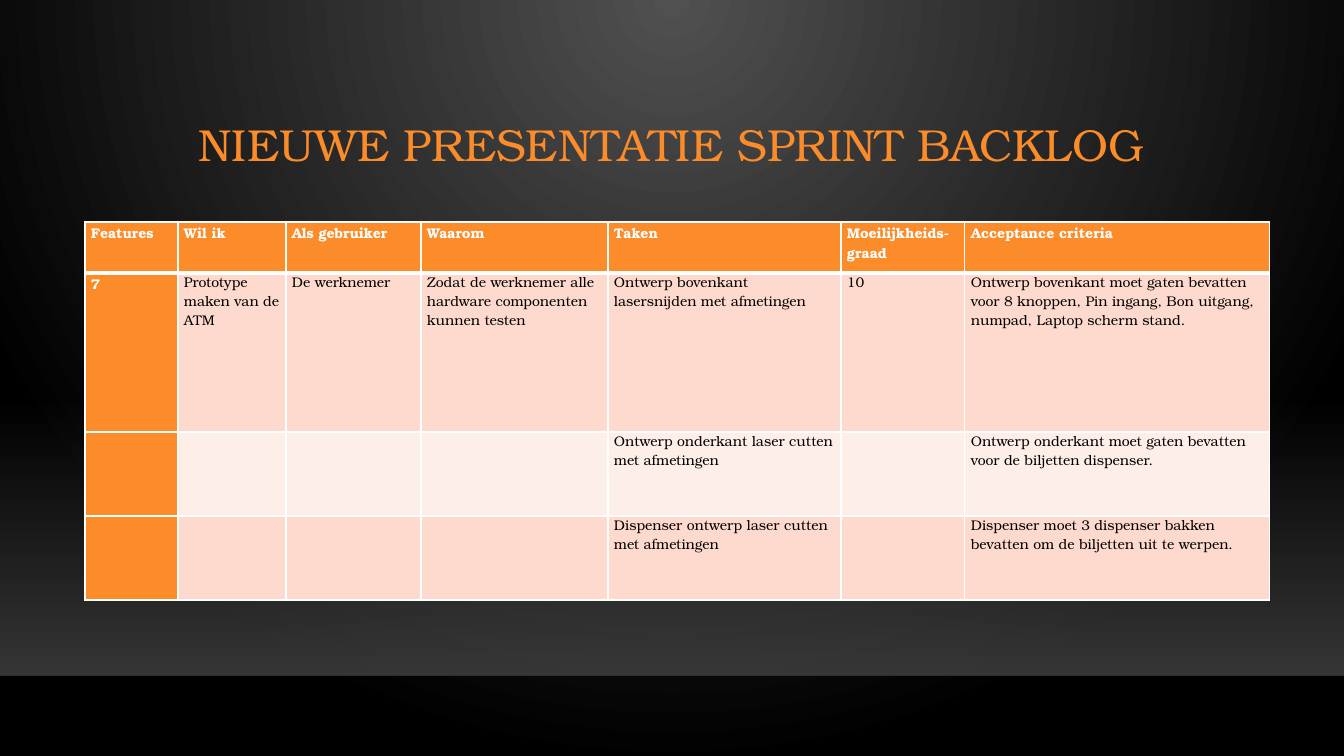
from lxml import etree
from pptx import Presentation, util as u
from pptx.dml.color import RGBColor
from pptx.enum import shapes, text
from pptx.oxml import ns

PX = 914400 / 100.8
FONT = "TeX Gyre Bonum"
COLOURS = {
    "orange": "FB8C29",
    "white": "FFFFFF",
    "black": "000000",
    "edge": "000001",
    "rose": "FDDACD",
    "blush": "FEEEE8",
    "glow": "505050",
    "floor": "454545",
}
COLUMNS = [93, 108, 135, 187, 233, 124, 305]
ROWS = [51, 159, 84, 84]
BACKLOG = [
    ["Features", "Wil ik", "Als gebruiker", "Waarom", "Taken",
     "Moeilijkheids-graad", "Acceptance criteria"],
    ["7", "Prototype maken van de ATM", "De werknemer",
     "Zodat de werknemer alle hardware componenten kunnen testen",
     "Ontwerp bovenkant lasersnijden met afmetingen", "10",
     "Ontwerp bovenkant moet gaten bevatten voor 8 knoppen, Pin ingang, "
     "Bon uitgang, numpad, Laptop scherm stand."],
    ["", "", "", "", "Ontwerp onderkant laser cutten met afmetingen", "",
     "Ontwerp onderkant moet gaten bevatten voor de biljetten dispenser."],
    ["", "", "", "", "Dispenser ontwerp laser cutten met afmetingen", "",
     "Dispenser moet 3 dispenser bakken bevatten om de biljetten uit te werpen."],
]


def px(length):
    """Turn a length in px into EMU."""
    return u.Emu(round(length * PX))


def colour(name):
    """Look up a named colour."""
    return RGBColor.from_string(COLOURS[name])


def add_node(parent, tag, **attributes):
    """Append a DrawingML element to a parent."""
    node = etree.SubElement(parent, ns.qn(tag))
    for key, value in attributes.items():
        node.set(key, str(value))
    return node


def set_alpha(parent, percent):
    """Make the first colour inside an element partly opaque."""
    rgb = next(parent.iter(ns.qn("a:srgbClr")))
    add_node(rgb, "a:alpha", val=percent * 1000)


def paint_gradient(fill, names):
    """Fill with a gradient between two named colours."""
    fill.gradient()
    for stop, name in zip(fill.gradient_stops, names):
        stop.color.rgb = colour(name)


def add_span(para, words, size, name, bold=False):
    """Add one formatted run to a paragraph."""
    span = para.add_run()
    span.text = words
    span.font.name = FONT
    span.font.size = u.Pt(size)
    span.font.bold = bold
    span.font.color.rgb = colour(name)


def build_background(page):
    """Paint a glow that spreads from the top centre."""
    paint_gradient(page.background.fill, ["glow", "black"])
    gradient = next(page._element.iter(ns.qn("a:gradFill")))
    gradient.remove(gradient.find(ns.qn("a:lin")))
    glow = add_node(gradient, "a:path", path="circle")
    add_node(glow, "a:fillToRect", l=43000, t=0, r=43000, b=100000)


def build_floor(page, left, top, width, height):
    """Draw the fading floor and the line along its lower edge."""
    floor = page.shapes.add_shape(
        shapes.MSO_SHAPE.RECTANGLE, px(left), px(top), px(width), px(height))
    floor.shadow.inherit = False
    floor.line.fill.background()
    paint_gradient(floor.fill, ["floor", "floor"])
    floor.fill.gradient_angle = 270
    for stop, percent in zip(floor._element.iter(ns.qn("a:gs")), [0, 80]):
        set_alpha(stop, percent)

    bottom = px(top + height)
    edge = page.shapes.add_connector(
        shapes.MSO_CONNECTOR.STRAIGHT, px(left), bottom, px(left + width), bottom)
    edge.line.color.rgb = colour("edge")
    edge.line.width = u.Pt(1)
    set_alpha(edge._element.spPr, 20)
    add_node(edge._element.spPr, "a:effectLst")


def build_title(page, left, top, width, height):
    """Place the slide title."""
    box = page.shapes.title
    box.left, box.top, box.width, box.height = map(px, (left, top, width, height))
    box.text_frame.vertical_anchor = text.MSO_ANCHOR.MIDDLE
    para = box.text_frame.paragraphs[0]
    para.alignment = text.PP_ALIGN.CENTER
    para.line_spacing = 0.9
    add_span(para, "NIEUWE PRESENTATIE SPRINT BACKLOG", 32, "orange")


def add_borders(cell, top, bottom):
    """Give a cell white borders, with top and bottom widths in points."""
    properties = cell._tc.get_or_add_tcPr()
    for side, points in zip("LRTB", [1, 1, top, bottom]):
        line = add_node(properties, f"a:ln{side}", w=u.Pt(points))
        solid = add_node(line, "a:solidFill")
        add_node(solid, "a:srgbClr", val=COLOURS["white"])


def format_cell(cell, words, row, column):
    """Fill one cell by its place in the backlog."""
    heading = row == 0 or column == 0
    add_borders(cell, 3 if row == 1 else 1, 3 if row == 0 else 1)
    cell.fill.solid()
    cell.fill.fore_color.rgb = colour(
        "orange" if heading else "rose" if row % 2 else "blush")
    cell.margin_left = cell.margin_right = px(6)
    cell.margin_top = cell.margin_bottom = 0
    if words:
        add_span(cell.text_frame.paragraphs[0], words, 10,
                 "white" if heading else "black", heading)


def build_backlog(page, left, top):
    """Place the sprint backlog table."""
    table = page.shapes.add_table(
        len(ROWS), len(COLUMNS), px(left), px(top),
        px(sum(COLUMNS)), px(sum(ROWS))).table
    table.first_col = True
    for column, width in zip(table.columns, COLUMNS):
        column.width = px(width)
    for row, height in enumerate(ROWS):
        table.rows[row].height = px(height)
        for column, words in enumerate(BACKLOG[row]):
            format_cell(table.cell(row, column), words, row, column)


def main():
    """Build the deck and save it."""
    deck = Presentation()
    deck.slide_width, deck.slide_height = px(1344), px(756)
    page = deck.slides.add_slide(deck.slide_layouts[5])
    build_background(page)
    build_floor(page, 0, 399, 1344, 277)
    build_title(page, 160, 89, 1024, 116)
    build_backlog(page, 85, 222)
    deck.save("out.pptx")


if __name__ == "__main__":
    main()
